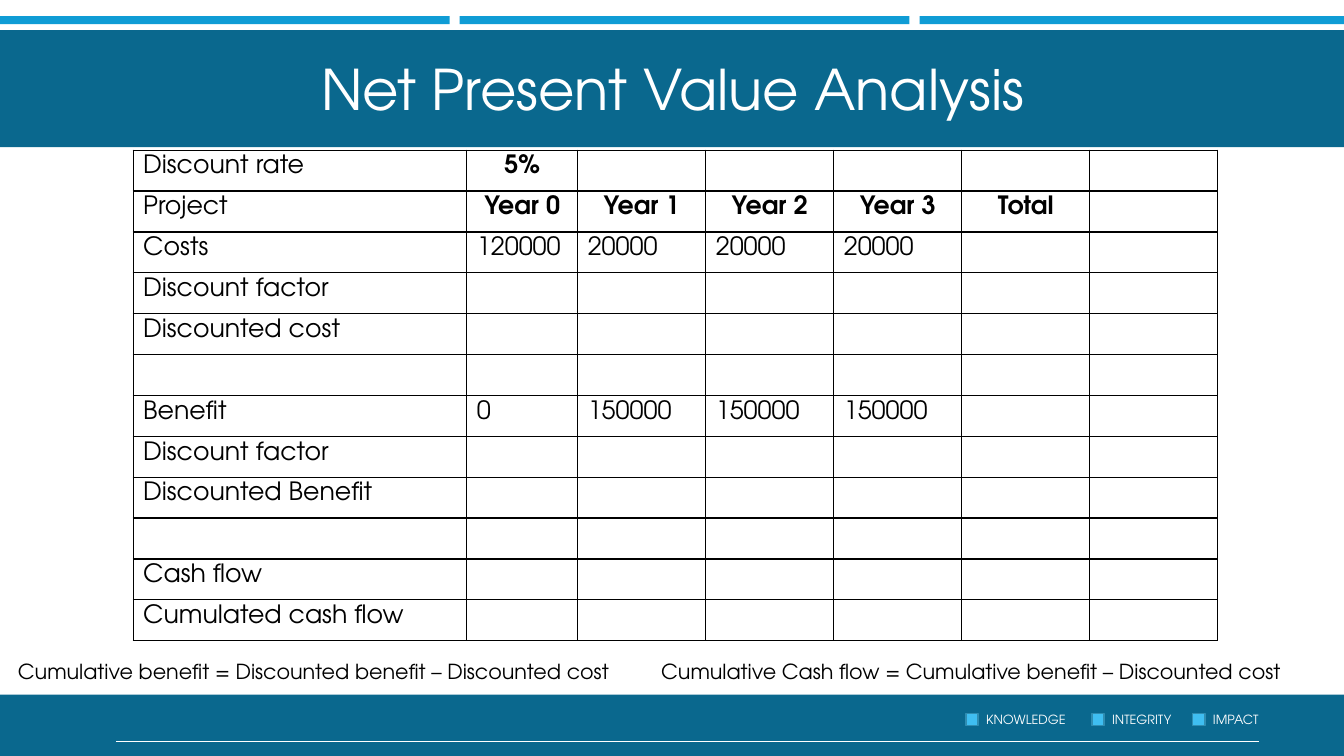
from dataclasses import dataclass

from lxml.etree import SubElement
from pptx import Presentation
from pptx.dml.color import RGBColor
from pptx.enum.shapes import MSO_CONNECTOR as Connector, MSO_SHAPE as Shape
from pptx.enum.text import MSO_ANCHOR as Anchor, PP_ALIGN as Align
from pptx.oxml.ns import qn
from pptx.util import Pt

PX = 9144  # 100 px to the inch
SLIDE_W, SLIDE_H = 1333, 750


@dataclass(frozen=True)
class Theme:
    font: str = "TeX Gyre Adventor"
    band: str = "0A688E"
    accent: str = "0F9CD5"
    marker: str = "3FBEF1"
    marker_edge: str = "2F8DB2"
    light: str = "FFFFFF"
    ink: str = "000000"
    title_size: float = 40
    table_size: float = 18
    formula_size: float = 14.8
    footer_size: float = 9


THEME = Theme()

CASH_FLOW_ROWS = [
    ["Discount rate", "5%"],
    ["Project", "Year 0", "Year 1", "Year 2", "Year 3", "Total"],
    ["Costs", "120000", "20000", "20000", "20000"],
    ["Discount factor"],
    ["Discounted cost"],
    [],
    ["Benefit", "0", "150000", "150000", "150000"],
    ["Discount factor"],
    ["Discounted Benefit"],
    [],
    ["Cash flow"],
    ["Cumulated cash flow"],
]
HEADING_ROWS = 2
COLUMN_WIDTHS = [331, 110] + [127] * 5


def emu(*lengths):
    return [length * PX for length in lengths]


def rgb(code):
    return RGBColor.from_string(code)


def write(frame, text, size, color, bold=False, align=Align.LEFT,
          anchor=Anchor.TOP, spacing=None):
    frame.word_wrap = True
    frame.vertical_anchor = anchor
    paragraph = frame.paragraphs[0]
    paragraph.alignment = align
    paragraph.line_spacing = spacing
    run = paragraph.add_run()
    run.text = text
    run.font.name = THEME.font
    run.font.size = Pt(size)
    run.font.bold = bold
    run.font.color.rgb = rgb(color)


def add_block(slide, box, fill, edge=None):
    block = slide.shapes.add_shape(Shape.RECTANGLE, *emu(*box))
    block.shadow.inherit = False
    block.fill.solid()
    block.fill.fore_color.rgb = rgb(fill)
    if edge:
        block.line.color.rgb = rgb(edge)
        block.line.width = Pt(1)
    else:
        block.line.fill.background()


def add_footer(slide, box):
    left, top, width, height = box
    add_block(slide, box, THEME.band)

    rule = slide.shapes.add_connector(
        Connector.STRAIGHT,
        *emu(left + 115, top + 46, left + width - 84, top + 46))
    rule.line.color.rgb = rgb(THEME.light)
    rule.line.width = Pt(0.5)
    SubElement(rule._element.spPr, qn("a:effectLst"))

    for value, offset in (("KNOWLEDGE", 958), ("INTEGRITY", 1083), ("IMPACT", 1183)):
        add_block(slide, (left + offset, top + 19, 12, 12),
                  THEME.marker, THEME.marker_edge)
        label = slide.shapes.add_textbox(
            *emu(left + offset + 20, top + 12, 95, 25)).text_frame
        label.margin_left = label.margin_right = 0
        write(label, value, THEME.footer_size, THEME.light)


def add_header(slide, box, title):
    left, top, width, height = box
    bar_width, gap = 446, 10
    for start in range(0, width, bar_width + gap):
        add_block(slide, (left + start, top + 16, min(bar_width, width - start), 8),
                  THEME.accent)
    add_block(slide, (left, top + 30, width, height - 30), THEME.band)

    heading = slide.shapes.title
    heading.left, heading.top, heading.width, heading.height = emu(
        left + 92, top + 44, 1150, 83)
    write(heading.text_frame, title, THEME.title_size, THEME.light,
          align=Align.CENTER, anchor=Anchor.BOTTOM, spacing=0.9)
    slide.shapes._spTree.append(heading._element)  # bring in front of the band


def add_borders(cell):
    properties = cell._tc.get_or_add_tcPr()
    for side in ("lnL", "lnR", "lnT", "lnB"):
        line = SubElement(properties, qn(f"a:{side}"), w=str(Pt(1)))
        fill = SubElement(line, qn("a:solidFill"))
        SubElement(fill, qn("a:srgbClr"), val=THEME.ink)


def add_cash_flow_table(slide, box):
    row_count = len(CASH_FLOW_ROWS)
    table = slide.shapes.add_table(row_count, len(COLUMN_WIDTHS), *emu(*box)).table
    table.first_row = table.horz_banding = False
    for column, width in zip(table.columns, COLUMN_WIDTHS):
        column.width = width * PX
    for row in table.rows:
        row.height = box[3] * PX // row_count

    for r, entries in enumerate(CASH_FLOW_ROWS):
        for c in range(len(COLUMN_WIDTHS)):
            cell = table.cell(r, c)
            add_borders(cell)
            cell.fill.background()
            if c < len(entries):
                heading = r < HEADING_ROWS and c > 0
                write(cell.text_frame, entries[c], THEME.table_size, THEME.ink,
                      bold=heading, align=Align.CENTER if heading else Align.LEFT)


def add_formula(slide, box, formula):
    frame = slide.shapes.add_textbox(*emu(*box)).text_frame
    write(frame, formula, THEME.formula_size, THEME.ink,
          anchor=Anchor.BOTTOM, spacing=0.9)


def main():
    deck = Presentation()
    deck.slide_width, deck.slide_height = emu(SLIDE_W, SLIDE_H)
    slide = deck.slides.add_slide(deck.slide_layouts[5])

    add_footer(slide, (0, 689, SLIDE_W, SLIDE_H - 689))
    add_header(slide, (0, 0, SLIDE_W, 146), "Net Present Value Analysis")
    add_cash_flow_table(slide, (132, 149, sum(COLUMN_WIDTHS), 487))
    add_formula(slide, (8, 635, 627, 48),
                "Cumulative benefit = Discounted benefit – Discounted cost")
    add_formula(slide, (646, 635, 667, 48),
                "Cumulative Cash flow = Cumulative benefit – Discounted cost")
    deck.save("out.pptx")


if __name__ == "__main__":
    main()
